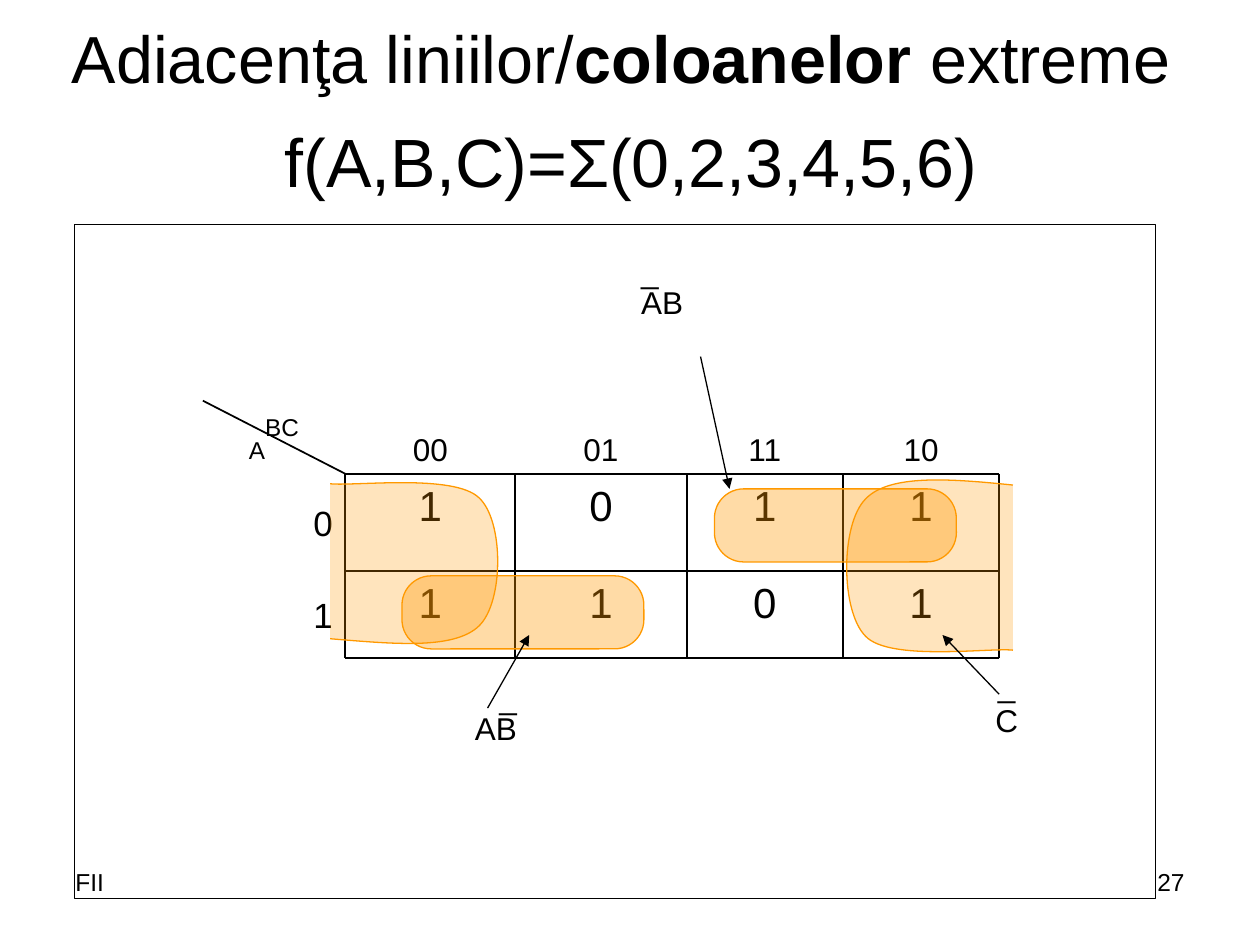
from dataclasses import dataclass
from itertools import pairwise

from lxml.etree import SubElement
from pptx import Presentation
from pptx.dml.color import RGBColor
from pptx.enum.shapes import MSO_CONNECTOR, MSO_SHAPE
from pptx.enum.text import MSO_ANCHOR, MSO_AUTO_SIZE, PP_ALIGN
from pptx.oxml.ns import qn
from pptx.util import Inches, Pt

LEFT, CENTER, RIGHT = PP_ALIGN.LEFT, PP_ALIGN.CENTER, PP_ALIGN.RIGHT
TOP, MIDDLE, BOTTOM = MSO_ANCHOR.TOP, MSO_ANCHOR.MIDDLE, MSO_ANCHOR.BOTTOM


@dataclass(frozen=True)
class Theme:
    font: str = "Arial"
    ink: str = "000000"
    paper: str = "FFFFFF"
    group: str = "FF9900"
    formula: int = 39
    title: int = 38
    value: int = 24
    row_code: int = 20
    label: int = 18
    footer: int = 14
    thin: float = 0.75
    grid: float = 1


def write_text(frame, paragraphs, *, theme, size, align=LEFT, anchor=TOP,
               before=0, spacing=None, grow=False):
    """Each paragraph is a list of (text, run options) pairs."""
    frame.word_wrap = True
    frame.vertical_anchor = anchor
    if grow:
        frame.auto_size = MSO_AUTO_SIZE.SHAPE_TO_FIT_TEXT
    for index, runs in enumerate(paragraphs):
        paragraph = frame.add_paragraph() if index else frame.paragraphs[0]
        paragraph.alignment = align
        paragraph.space_before = Pt(before)
        if spacing:
            paragraph.line_spacing = spacing
        for words, options in runs:
            run = paragraph.add_run()
            run.text = words
            run.font.name = theme.font
            run.font.size = Pt(size)
            run.font.bold = options.get("bold", False)
            run.font.color.rgb = RGBColor.from_string(theme.ink)
            if "baseline" in options:
                run._r.get_or_add_rPr().set("baseline", str(options["baseline"] * 1000))


class SlideBuilder:
    def __init__(self, slide, theme):
        self.slide = slide
        self.theme = theme

    def text(self, box, paragraphs, **style):
        if isinstance(paragraphs, str):
            paragraphs = [[(paragraphs, {})]]
        textbox = self.slide.shapes.add_textbox(*map(Inches, box))
        write_text(textbox.text_frame, paragraphs, theme=self.theme, **style)

    def paint(self, shape, fill, line=None, opacity=None):
        shape.shadow.inherit = False
        shape.fill.solid()
        shape.fill.fore_color.rgb = RGBColor.from_string(fill)
        if opacity:
            color = shape._element.spPr.find(qn("a:solidFill"))[0]
            SubElement(color, qn("a:alpha")).set("val", str(opacity * 1000))
        if line:
            shape.line.color.rgb = RGBColor.from_string(line)
            shape.line.width = Pt(self.theme.thin)
        else:
            shape.line.fill.background()

    def rectangle(self, box, line=None, value=None):
        shape = self.slide.shapes.add_shape(MSO_SHAPE.RECTANGLE, *map(Inches, box))
        self.paint(shape, self.theme.paper, line)
        if value:
            write_text(shape.text_frame, [[(value, {})]], theme=self.theme,
                       size=self.theme.value, align=CENTER, before=6)

    def pair_loop(self, box):
        shape = self.slide.shapes.add_shape(MSO_SHAPE.ROUNDED_RECTANGLE, *map(Inches, box))
        shape.adjustments[0] = 0.4
        self.paint(shape, self.theme.group, self.theme.group, opacity=35)

    def open_loop(self, start, points):
        """An open outline of cubic curves, three points for each curve."""
        builder = self.slide.shapes.build_freeform(*map(Inches, start))
        builder.add_line_segments([tuple(map(Inches, point)) for point in points], close=False)
        loop = builder.convert_to_shape()
        segments = list(loop._element.iter(qn("a:lnTo")))
        outline = segments[0].getparent()
        for first in range(0, len(segments), 3):
            curve = SubElement(outline, qn("a:cubicBezTo"))
            for segment in segments[first:first + 3]:
                curve.append(segment[0])
                outline.remove(segment)
        self.paint(loop, self.theme.group, self.theme.group, opacity=26)

    def line(self, start, end, width, arrow=False):
        connector = self.slide.shapes.add_connector(
            MSO_CONNECTOR.STRAIGHT, *map(Inches, start + end))
        connector.line.color.rgb = RGBColor.from_string(self.theme.ink)
        connector.line.width = Pt(width)
        if arrow:
            SubElement(connector.line._get_or_add_ln(), qn("a:tailEnd")).set("type", "triangle")
        SubElement(connector._element.spPr, qn("a:effectLst"))

    def barred_term(self, box, term, align, spacing):
        self.text(box, [[("_", {})], [(term, {})]], size=self.theme.label, align=align,
                  before=11.2, spacing=spacing, grow=True)


def main():
    theme = Theme()
    presentation = Presentation()
    presentation.slide_width, presentation.slide_height = Inches(10), Inches(7.5)
    page = SlideBuilder(presentation.slides.add_slide(presentation.slide_layouts[6]), theme)

    # Headings
    page.text((0.51, 0.84, 9, 0.87), "f(A,B,C)=Σ(0,2,3,4,5,6)",
              size=theme.formula, align=CENTER, anchor=MIDDLE)
    page.text((0.43, 0, 9, 0.91),
              [[("Adiacenţa liniilor/", {}), ("coloanelor", {"bold": True}), (" extreme", {})]],
              size=theme.title, align=CENTER, anchor=MIDDLE)

    # Frame and the terms below the map
    page.rectangle((0.59, 1.78, 8.58, 5.35), line=theme.ink)
    page.barred_term((3.07, 5.51, 1.13, 0.44), "AB", RIGHT, 0.3)
    page.barred_term((7.37, 5.39, 1.24, 0.5), "C", CENTER, 0.4)

    # Karnaugh map: codes and values
    columns = [2.74, 4.09, 5.45, 6.69, 7.93]
    rows = [3.76, 4.53, 5.22]
    header_left, header_top = 1.61, 3.18
    header_width, header_height = columns[0] - header_left, rows[0] - header_top
    values = {"0": "1011", "1": "1101"}
    for code, (left, right) in zip(("00", "01", "11", "10"), pairwise(columns)):
        page.text((left, header_top, right - left, header_height), code,
                  size=theme.label, align=CENTER, anchor=BOTTOM, before=4.5)
    for (code, digits), (top, bottom) in zip(values.items(), pairwise(rows)):
        page.text((header_left, top, header_width, bottom - top), code,
                  size=theme.row_code, align=RIGHT, anchor=MIDDLE, before=5)
        for digit, (left, right) in zip(digits, pairwise(columns)):
            page.rectangle((left, top, right - left, bottom - top), value=digit)
    page.text((header_left, header_top, header_width, header_height),
              [[("A", {"baseline": -25}), ("BC", {"baseline": 30})]],
              size=theme.value, align=CENTER, before=6)

    # Karnaugh map: grid lines
    for y in rows:
        page.line((columns[0], y), (columns[-1], y), theme.grid)
    for x in columns:
        page.line((x, rows[0]), (x, rows[-1]), theme.grid)
    page.line((header_left, header_top), (columns[0], rows[0]), theme.grid)

    # Groups of ones
    for left, top in ((5.67, 3.88), (3.19, 4.57)):
        page.pair_loop((left, top, 1.92, 0.58))
    page.open_loop((8.04, 3.85), [
        (7.55, 3.8), (7.06, 3.76), (6.87, 3.96),
        (6.67, 4.16), (6.67, 4.85), (6.87, 5.05),
        (7.06, 5.25), (7.85, 5.14), (8.04, 5.16)])
    page.open_loop((2.62, 5.07), [
        (3.11, 5.11), (3.6, 5.16), (3.8, 4.97),
        (4, 4.78), (4, 4.13), (3.8, 3.95),
        (3.6, 3.76), (2.82, 3.86), (2.62, 3.84)])

    # Term above the map and the arrows from terms to groups
    page.barred_term((4.99, 2.13, 1.13, 0.44), "AB", LEFT, 0.3)
    for term_end, group_end in (((5.56, 2.83), (5.79, 3.88)),
                                ((7.93, 5.51), (7.48, 5.04)),
                                ((3.87, 5.62), (4.2, 5.04))):
        page.line(term_end, group_end, theme.thin, arrow=True)

    # Footer
    page.text((7.17, 6.83, 2.33, 0.52), "27", size=theme.footer, align=RIGHT)
    page.text((0.5, 6.83, 2.33, 0.52), "FII", size=theme.footer)

    presentation.save("out.pptx")


if __name__ == "__main__":
    main()
